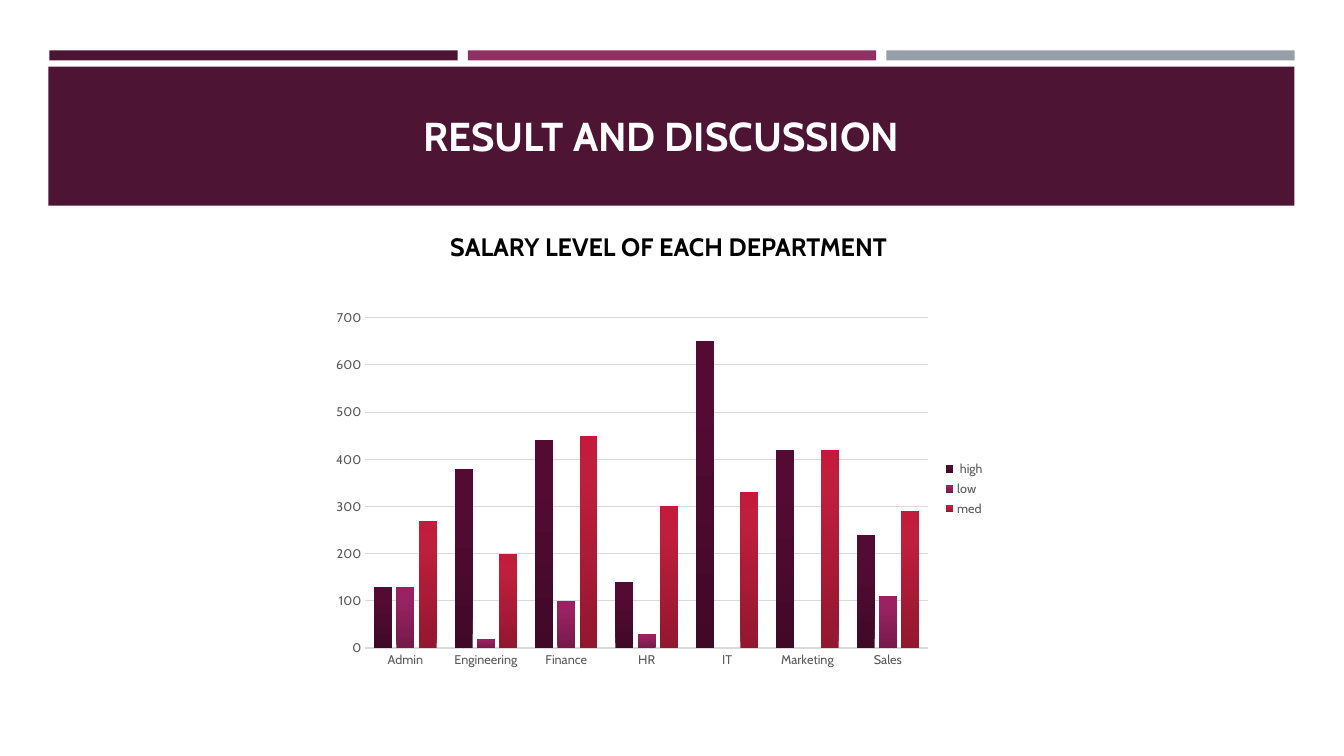
from pptx import Presentation, util as u
from pptx.chart.data import CategoryChartData
from pptx.dml.color import RGBColor
from pptx.enum import chart as charts, shapes, text
from pptx.oxml import parse_xml
from pptx.oxml.ns import nsdecls

PX = 9144  # EMU per px, at 100 px to the inch
FONT = "Cabin"
COLORS = {
    "plum": "4D1434", "berry": "903163", "slate": "969FA7",
    "white": "FFFFFF", "black": "000000", "label": "595959", "grid": "D9D9D9",
}
DEPARTMENTS = ["Admin", "Engineering", "Finance", "HR", "IT", "Marketing", "Sales"]
# Salary level: (values, gradient colours from the foot of the column to its top)
SALARIES = {
    " high": ([130, 380, 440, 140, 650, 420, 240], ("400928", "530B33", "550A34")),
    "low": ([130, 20, 100, 30, None, None, 110], ("761A4A", "992261", "9C2061")),
    "med": ([270, 200, 450, 300, 330, 420, 290], ("93172F", "BF1E3D", "C31B3C")),
}


def rgb(name):
    return RGBColor.from_string(COLORS[name])


def box(*lengths):
    return [u.Emu(length * PX) for length in lengths]


def format_font(font, size, color, bold=False):
    font.name, font.size, font.bold = FONT, u.Pt(size), bold
    font.color.rgb = rgb(color)


def write(shape, words, *, size, color, bold=False):
    """Put one centred line of formatted text in a shape."""
    frame = shape.text_frame
    frame.word_wrap = True
    frame.auto_size = text.MSO_AUTO_SIZE.NONE
    frame.vertical_anchor = text.MSO_ANCHOR.MIDDLE
    paragraph = frame.paragraphs[0]
    paragraph.alignment = text.PP_ALIGN.CENTER
    run = paragraph.add_run()
    run.text = words
    format_font(run.font, size, color, bold)


def fill_gradient(series, colors):
    """Shade a series upwards through three colours."""
    stops = "".join(
        f'<a:gs pos="{position}"><a:srgbClr val="{color}"/></a:gs>'
        for position, color in zip((0, 80000, 100000), colors))
    properties = series._element.get_or_add_spPr()
    properties.insert(0, parse_xml(
        f'<a:gradFill {nsdecls("a")} rotWithShape="1"><a:gsLst>{stops}</a:gsLst>'
        '<a:lin ang="16200000" scaled="0"/></a:gradFill>'))


class SlideBuilder:
    def __init__(self, presentation):
        self.slide = presentation.slides.add_slide(presentation.slide_layouts[5])

    def bar(self, left, top, width, height, color):
        shape = self.slide.shapes.add_shape(
            shapes.MSO_SHAPE.RECTANGLE, *box(left, top, width, height))
        shape.shadow.inherit = False
        shape.fill.solid()
        shape.fill.fore_color.rgb = rgb(color)
        shape.line.fill.background()
        return shape

    def title(self, words, left, top, width, height, **style):
        shape = self.slide.shapes.title
        shape.left, shape.top, shape.width, shape.height = box(left, top, width, height)
        write(shape, words, **style)
        # Bring the title in front of the banner
        self.slide.shapes._spTree.append(shape._element)

    def label(self, words, left, top, width, height, **style):
        write(self.slide.shapes.add_textbox(*box(left, top, width, height)), words, **style)

    def column_chart(self, categories, levels, left, top, width, height):
        data = CategoryChartData()
        data.categories = categories
        for name, (values, _) in levels.items():
            data.add_series(name, values)
        chart = self.slide.shapes.add_chart(
            charts.XL_CHART_TYPE.COLUMN_CLUSTERED, *box(left, top, width, height), data).chart
        chart.has_title = False
        format_font(chart.font, 10, "black")

        plot = chart.plots[0]
        plot.gap_width, plot.overlap, plot.vary_by_categories = 100, -24, False
        for series, (_, colors) in zip(plot.series, levels.values()):
            series.invert_if_negative = False
            fill_gradient(series, colors)

        for axis in (chart.category_axis, chart.value_axis):
            axis.major_tick_mark = axis.minor_tick_mark = charts.XL_TICK_MARK.NONE
            format_font(axis.tick_labels.font, 9, "label")
        category_line = chart.category_axis.format.line
        category_line.color.rgb, category_line.width = rgb("grid"), u.Pt(1)

        value_axis = chart.value_axis
        value_axis.minimum_scale, value_axis.maximum_scale = 0, 700
        value_axis.major_unit = 100
        value_axis.format.line.fill.background()
        grid_line = value_axis.major_gridlines.format.line
        grid_line.color.rgb, grid_line.width = rgb("grid"), u.Pt(0.75)

        chart.has_legend = True
        chart.legend.position = charts.XL_LEGEND_POSITION.RIGHT
        chart.legend.include_in_layout = False
        format_font(chart.legend.font, 9, "label")


def main():
    presentation = Presentation()
    presentation.slide_width, presentation.slide_height = box(1333, 750)
    builder = SlideBuilder(presentation)
    for index, color in enumerate(("plum", "berry", "slate")):
        builder.bar(49 + 415 * index, 50, 405, 10, color)
    builder.bar(48, 66, 1236, 138, "plum")
    builder.title("RESULT AND DISCUSSION", 264, 80, 784, 108,
                  size=28.8, color="white", bold=True)
    builder.column_chart(DEPARTMENTS, SALARIES, 320, 300, 667, 370)
    builder.label("SALARY LEVEL OF EACH DEPARTMENT ", 63, 224, 1206, 40,
                  size=18, color="black", bold=True)
    presentation.save("out.pptx")


if __name__ == "__main__":
    main()
